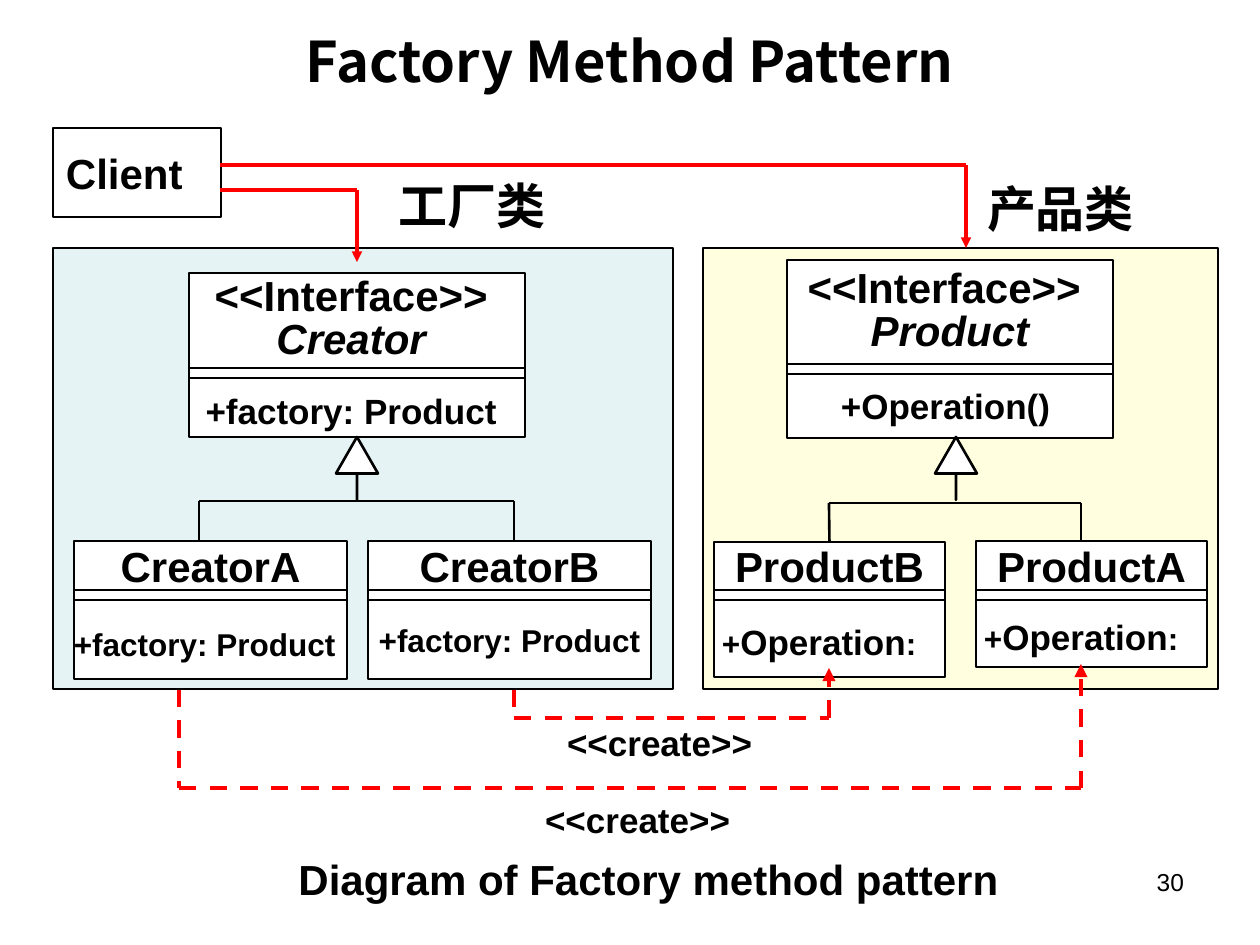
from dataclasses import dataclass
from typing import NamedTuple, Optional

from lxml.etree import SubElement
from pptx import Presentation
from pptx.dml.color import RGBColor
from pptx.enum.dml import MSO_LINE
from pptx.enum.shapes import MSO_CONNECTOR as Connector, MSO_SHAPE as Preset
from pptx.enum.text import MSO_ANCHOR as Anchor, MSO_AUTO_SIZE as AutoSize, PP_ALIGN as Align
from pptx.oxml.ns import qn
from pptx.util import Pt

EMU_PER_PX = 914400 / 126
BAND = 10
SANS = "Arial"
CJK = "Noto Sans CJK SC"
COLORS = {"ink": "000000", "paper": "FFFFFF", "call": "FF0000",
          "factory": "BBE0E3", "product": "FFFF99"}


class Box(NamedTuple):
    left: int
    top: int
    width: int
    height: int


class Run(NamedTuple):
    text: str
    size: int
    italic: bool = False
    font: str = SANS
    bold: bool = True


class Insets(NamedTuple):
    left: int = 0
    top: int = 0
    right: int = 0
    bottom: int = 0


PADDED = Insets(13, 6, 13, 6)


@dataclass
class ClassBox:
    left: int
    top: int
    width: int
    title_height: int
    member_height: int
    title: list
    member: list
    insets: Insets = Insets()


@dataclass
class Route:
    points: list
    color: str = "call"
    weight: float = 2
    dashed: bool = False
    arrow: bool = True


OPERATION = [Run("+", 18), Run("Operation", 20), Run(":", 18), Run(" ", 24)]
FACTORY = Run("+factory: Product", 18)
SHIFTED = Insets(right=9)

PRODUCT_CLASSES = [
    ClassBox(787, 260, 326, 104, 64,
             [[Run("<<Interface>> ", 24)], [Run("Product", 24, italic=True)]],
             [Run("+Operation()", 20), Run(" ", 18)]),
    ClassBox(976, 541, 231, 49, 67, [[Run("ProductA", 24)]], OPERATION, SHIFTED),
    ClassBox(714, 542, 231, 48, 77, [[Run("ProductB", 24)]], OPERATION, SHIFTED),
]
CREATOR_CLASSES = [
    ClassBox(189, 273, 336, 95, 59,
             [[Run("<<Interface>> ", 24)], [Run("Creator ", 24, italic=True)]],
             [Run("+factory: Product", 20), Run(" ", 24)]),
    ClassBox(74, 541, 273, 49, 79, [[Run("CreatorA", 24)]], [FACTORY, Run(" ", 24)]),
    ClassBox(368, 541, 283, 49, 79, [[Run("CreatorB", 24)]], [FACTORY]),
]
CREATOR_TREE = Route([(199, 541), (199, 501), (514, 501), (514, 541)], "ink", 1.5, arrow=False)
PRODUCT_TREE = Route([(1081, 541), (1081, 503), (829, 503), (829, 542)], "ink", 1.5, arrow=False)
CALLS = [
    Route([(220, 190), (357, 190), (357, 262)]),
    Route([(220, 165), (966, 165), (966, 248)]),
    Route([(514, 659), (514, 718), (829, 718), (829, 668)], weight=2.5, dashed=True),
    Route([(179, 659), (179, 788), (1081, 788), (1081, 664)], weight=2.5, dashed=True),
]
PANELS = [(Box(53, 248, 620, 441), "factory", 36), (Box(703, 248, 515, 441), "product", 31)]
LABELS = [
    (Box(545, 798, 231, 42), Run("<<create>>", 20)),
    (Box(567, 721, 231, 42), Run("<<create>>", 20)),
    (Box(399, 175, 158, 59), Run("工厂类", 28, font=CJK)),
    (Box(987, 179, 158, 59), Run("产品类", 28, font=CJK)),
]
TRIANGLES = [Box(336, 437, 42, 63), Box(935, 437, 42, 63)]


def px(value: float) -> int:
    return round(value * EMU_PER_PX)


def color(name: str) -> RGBColor:
    return RGBColor.from_string(COLORS[name])


def write(shape, lines: list, align=Align.CENTER, insets: Insets = Insets(),
          anchor=Anchor.MIDDLE, wrap: bool = False, spacing: Optional[float] = None) -> None:
    frame = shape.text_frame
    frame.auto_size = AutoSize.NONE
    frame.word_wrap = wrap
    frame.vertical_anchor = anchor
    frame.margin_left, frame.margin_top, frame.margin_right, frame.margin_bottom = map(px, insets)
    for index, line in enumerate(lines):
        paragraph = frame.add_paragraph() if index else frame.paragraphs[0]
        paragraph.text = line[0].text
        for extra in line[1:]:
            paragraph.add_run().text = extra.text
        paragraph.alignment = align
        paragraph.space_before = Pt(0)
        if spacing:
            paragraph.line_spacing = spacing
        for run, style in zip(paragraph.runs, line):
            font = run.font
            font.size, font.bold, font.italic = Pt(style.size), style.bold, style.italic
            font.color.rgb = color("ink")
            font.name = style.font
            SubElement(font._element, qn("a:ea")).set("typeface", style.font)


def add_box(slide, box: Box, fill: str = "paper", weight: float = 1.5,
            opacity: Optional[int] = None, preset=Preset.RECTANGLE):
    shape = slide.shapes.add_shape(preset, *map(px, box))
    shape.shadow.inherit = False
    shape.fill.solid()
    shape.fill.fore_color.rgb = color(fill)
    if opacity:
        channel = shape._element.spPr.find(qn("a:solidFill"))[0]
        SubElement(channel, qn("a:alpha")).set("val", str(opacity * 1000))
    if weight:
        shape.line.color.rgb = color("ink")
        shape.line.width = Pt(weight)
    else:
        shape.line.fill.background()
    return shape


def add_class(slide, item: ClassBox):
    band_top = item.top + item.title_height
    header = add_box(slide, Box(item.left, item.top, item.width, item.title_height))
    write(header, item.title, spacing=0.85 if len(item.title) > 1 else None)
    add_box(slide, Box(item.left, band_top, item.width, BAND))
    member = add_box(slide, Box(item.left, band_top + BAND, item.width, item.member_height))
    write(member, [item.member], insets=item.insets)
    return header


def add_route(slide, route: Route):
    for start, end in zip(route.points, route.points[1:]):
        connector = slide.shapes.add_connector(Connector.STRAIGHT, *map(px, start + end))
        connector.line.color.rgb = color(route.color)
        connector.line.width = Pt(route.weight)
        if route.dashed:
            connector.line.dash_style = MSO_LINE.DASH
        if route.arrow and end == route.points[-1]:
            SubElement(connector.line._get_or_add_ln(), qn("a:tailEnd")).set("type", "triangle")
        SubElement(connector._element.spPr, qn("a:effectLst"))
    return connector


def place(shape, box: Box) -> None:
    shape.left, shape.top, shape.width, shape.height = map(px, box)


def main() -> None:
    presentation = Presentation()
    presentation.slide_width, presentation.slide_height = px(1260), px(945)
    slide = presentation.slides.add_slide(presentation.slide_layouts[1])
    title, caption = slide.placeholders

    place(title, Box(63, 21, 1134, 78))
    write(title, [[Run("Factory Method Pattern", 32, font=CJK)]], insets=PADDED, wrap=True)

    place(caption, Box(252, 861, 793, 53))
    properties = caption.text_frame.paragraphs[0]._p.get_or_add_pPr()
    properties.set("marL", "0")
    properties.set("indent", "0")
    SubElement(properties, qn("a:buNone"))
    write(caption, [[Run("Diagram of Factory method pattern", 24)]],
          insets=PADDED, anchor=Anchor.TOP, wrap=True, spacing=0.7)

    number = slide.shapes.add_textbox(*map(px, Box(903, 861, 294, 65)))
    write(number, [[Run("30", 14, bold=False)]], Align.RIGHT, PADDED, Anchor.TOP, True)

    for box, fill, opacity in PANELS:
        add_box(slide, box, fill, 0.75, opacity)
    client = add_box(slide, Box(53, 128, 168, 89))
    write(client, [[Run("Client", 24)]], Align.LEFT, PADDED)

    headers = [add_class(slide, item) for item in PRODUCT_CLASSES]
    add_route(slide, CREATOR_TREE)
    add_route(slide, PRODUCT_TREE).end_connect(headers[-1], 0)
    for route in CALLS:
        add_route(slide, route)
    for item in CREATOR_CLASSES:
        add_class(slide, item)

    for box in TRIANGLES:
        triangle = add_box(slide, box, preset=Preset.UP_ARROW)
        triangle.adjustments[0], triangle.adjustments[1] = 0, 0.87
    for box, run in LABELS:
        label = add_box(slide, box, weight=0)
        write(label, [[run]], Align.LEFT, anchor=Anchor.TOP, wrap=True)

    presentation.save("out.pptx")


if __name__ == "__main__":
    main()
